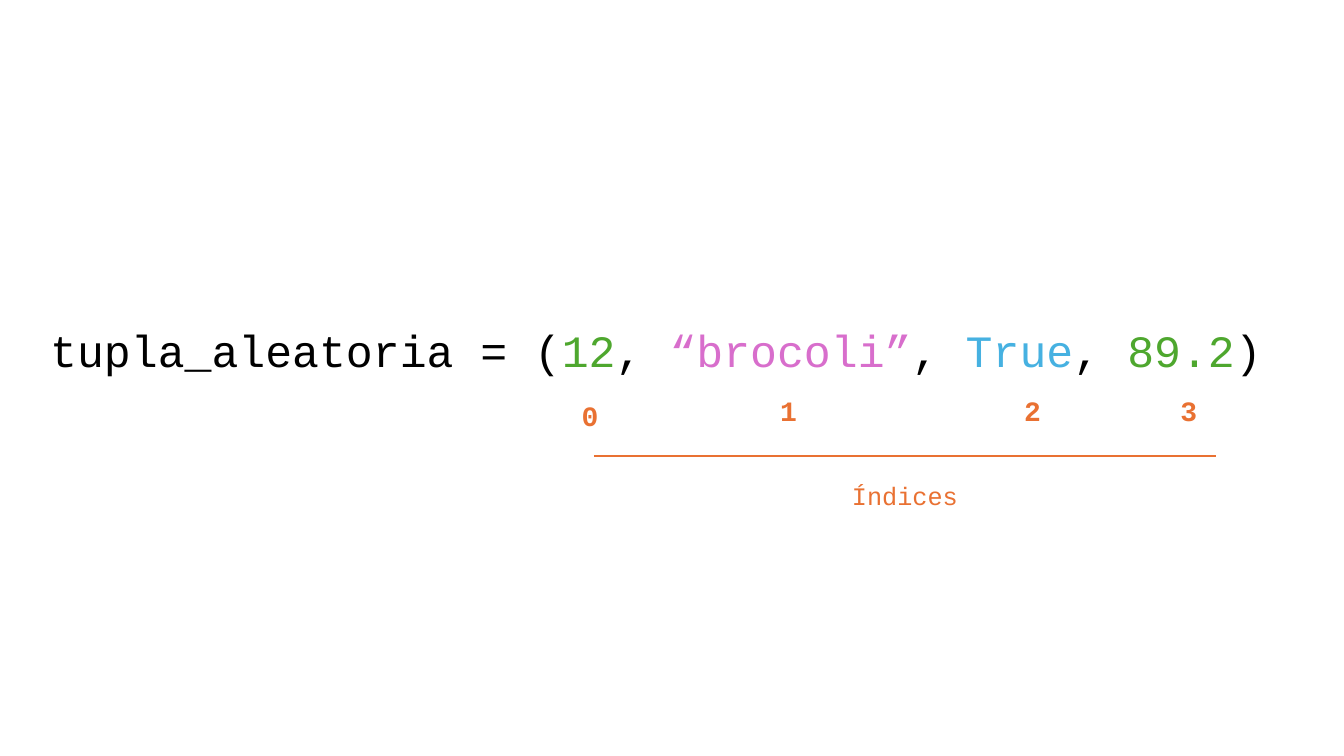
from dataclasses import dataclass

from lxml.etree import SubElement
from pptx import Presentation
from pptx.dml.color import RGBColor
from pptx.enum.shapes import MSO_CONNECTOR, MSO_SHAPE
from pptx.enum.text import MSO_AUTO_SIZE, PP_ALIGN
from pptx.oxml.ns import qn
from pptx.slide import Slide
from pptx.util import Inches, Pt

FONT = "Courier New"
COLORS = {
    "panel": "FFFFFF",
    "code": "000000",
    "number": "4EA72E",
    "string": "D86ECC",
    "boolean": "46B1E1",
    "index": "E97132",
}
LINE_LEFT, LINE_RIGHT, LINE_TOP = 5.89, 12.06, 4.52


@dataclass
class Token:
    text: str
    color: str = "code"


@dataclass
class IndexLabel:
    text: str
    left: float
    top: float = 3.85


TUPLE_CODE = [
    Token("tupla_aleatoria = ("),
    Token("12", "number"),
    Token(", "),
    Token("“brocoli”", "string"),
    Token(", "),
    Token("True", "boolean"),
    Token(", "),
    Token("89.2", "number"),
    Token(")"),
]
INDEX_LABELS = [
    IndexLabel("0", 5.67, 3.9),
    IndexLabel("1", 7.64),
    IndexLabel("2", 10.06),
    IndexLabel("3", 11.61),
]


def rgb(name: str) -> RGBColor:
    return RGBColor.from_string(COLORS[name])


def add_text(s: Slide, tokens: list[Token], left: float, top: float,
             width: float, height: float, *, size: int, bold: bool = False,
             align: PP_ALIGN = PP_ALIGN.LEFT) -> None:
    """Add one line of text with a colour for each token."""
    sp = s.shapes.add_textbox(Inches(left), Inches(top), Inches(width), Inches(height))
    tf = sp.text_frame
    tf.word_wrap = True
    tf.auto_size = MSO_AUTO_SIZE.SHAPE_TO_FIT_TEXT
    p = tf.paragraphs[0]
    p.alignment = align
    for token in tokens:
        r = p.add_run()
        r.text = token.text
        r.font.name = FONT
        r.font.size = Pt(size)
        r.font.bold = bold
        r.font.color.rgb = rgb(token.color)


def add_panel(s: Slide) -> None:
    sp = s.shapes.add_shape(MSO_SHAPE.RECTANGLE, Inches(0.4), Inches(2.59),
                            Inches(12.49), Inches(2.84))
    sp.shadow.inherit = False
    sp.fill.solid()
    sp.fill.fore_color.rgb = rgb("panel")
    sp.line.color.rgb = rgb("panel")
    sp.line.width = Pt(1.5)


def add_index_line(s: Slide) -> None:
    line = s.shapes.add_connector(MSO_CONNECTOR.STRAIGHT, Inches(LINE_LEFT), Inches(LINE_TOP),
                                  Inches(LINE_RIGHT), Inches(LINE_TOP))
    line.line.color.rgb = rgb("index")
    line.line.width = Pt(1.5)
    SubElement(line._element.spPr, qn("a:effectLst"))


def main() -> None:
    prs = Presentation()
    prs.slide_width, prs.slide_height = Inches(13.33), Inches(7.5)
    s = prs.slides.add_slide(prs.slide_layouts[6])
    add_panel(s)
    add_text(s, TUPLE_CODE, 0.4, 3.15, 12.27, 0.64, size=32)
    for label in INDEX_LABELS:
        add_text(s, [Token(label.text, "index")], label.left, label.top, 0.44, 0.44,
                 size=20, bold=True)
    add_index_line(s)
    add_text(s, [Token("Índices", "index")], LINE_LEFT, 4.72, LINE_RIGHT - LINE_LEFT, 0.4,
             size=18, align=PP_ALIGN.CENTER)
    prs.save("out.pptx")


if __name__ == "__main__":
    main()
